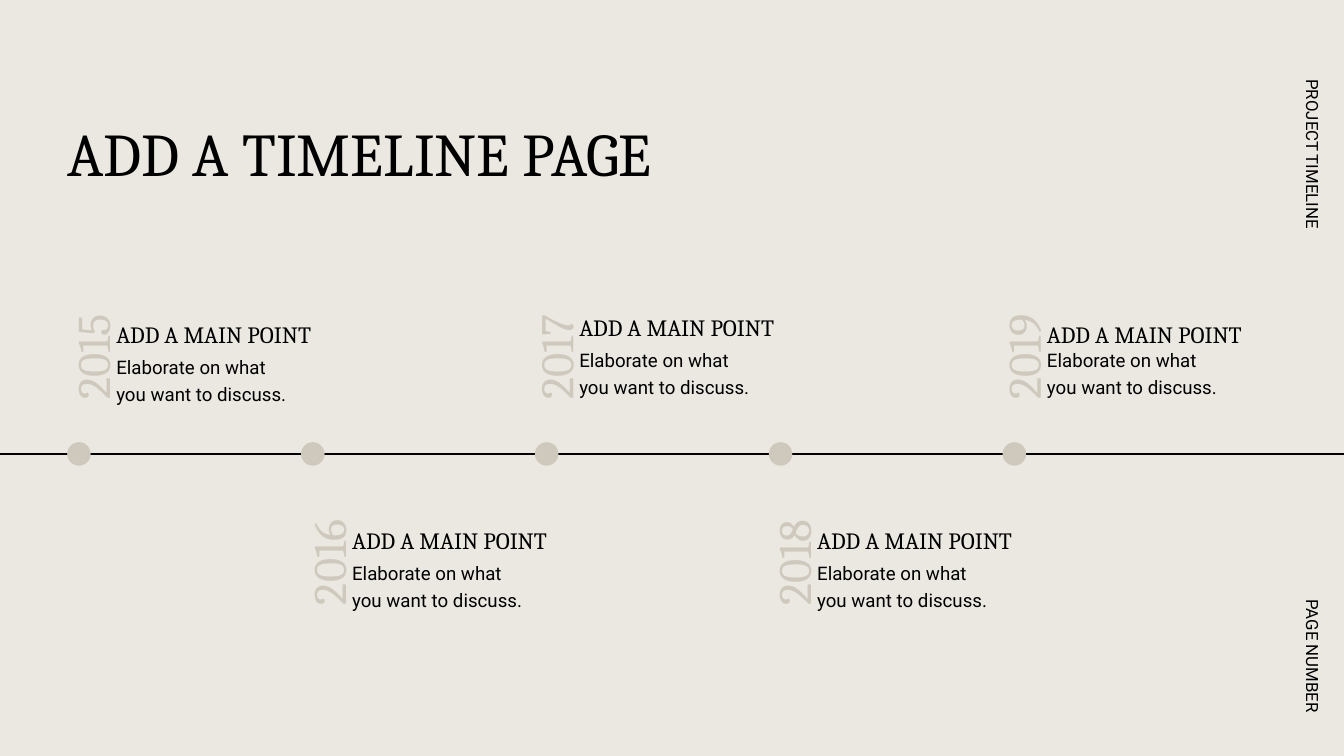
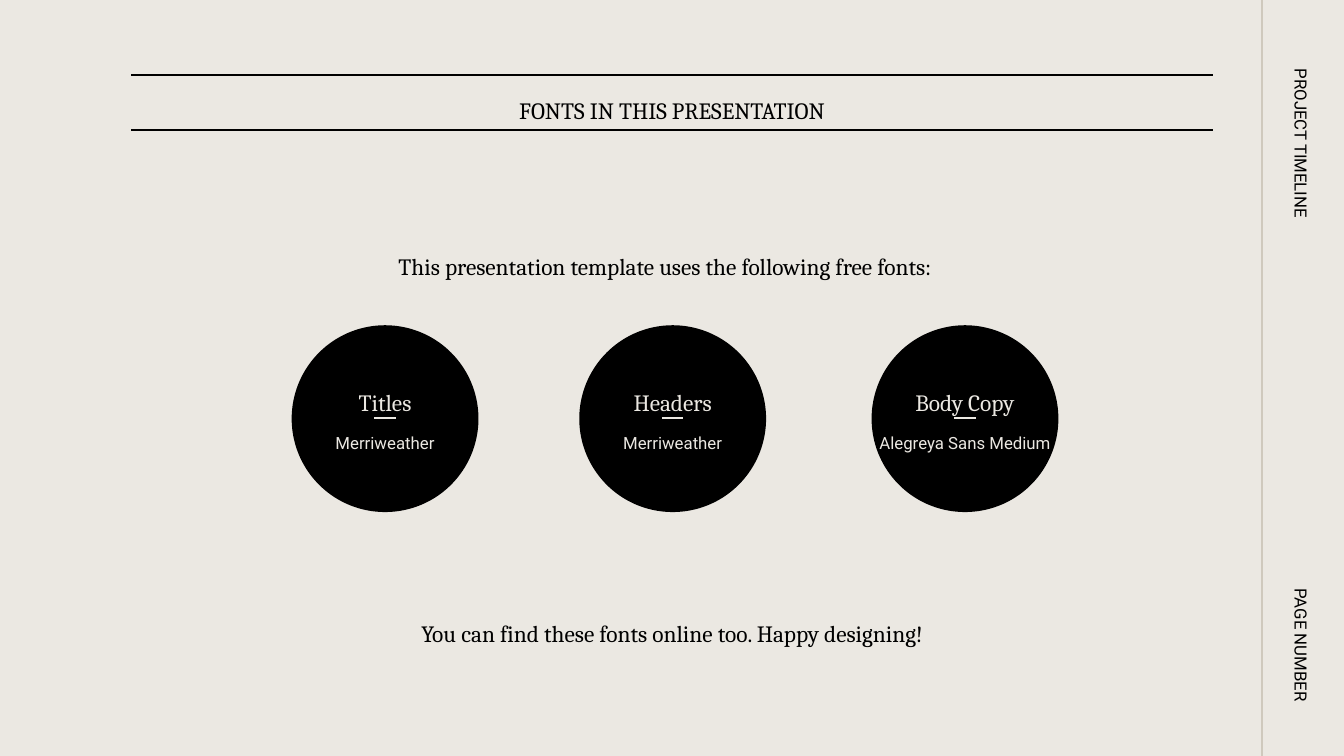
from lxml import etree
from pptx import Presentation
from pptx.dml.color import RGBColor
from pptx.enum import shapes, text
from pptx.oxml.ns import qn
from pptx import util as u

PX = u.Inches(1) // 100  # 100 px to the inch
INK, PAPER, STONE = "000000", "EBE8E2", "CFC9BD"
SERIF, SANS = "Cambria", "Roboto"
LEFT, CENTER, RIGHT = text.PP_ALIGN.LEFT, text.PP_ALIGN.CENTER, text.PP_ALIGN.RIGHT


def write(page, lines, left, top, width, height, *, size=25, font=SERIF, color=INK,
          align=LEFT, spacing=1.2, turn=0, box=None):
    """Put text, one paragraph a line, in a new text box or in the given placeholder."""
    box = box or page.shapes.add_textbox(0, 0, 0, 0)
    box.left, box.top, box.width, box.height = (n * PX for n in (left, top, width, height))
    box.rotation = turn
    frame = box.text_frame
    frame.word_wrap = True
    frame.auto_size = text.MSO_AUTO_SIZE.SHAPE_TO_FIT_TEXT
    frame.vertical_anchor = text.MSO_ANCHOR.TOP
    frame.margin_left = frame.margin_top = frame.margin_right = frame.margin_bottom = 0
    frame.text = lines
    for para in frame.paragraphs:
        para.alignment = align
        para.line_spacing = spacing
        para.space_before = u.Pt(0)
        for span in para.runs:
            span.font.size = u.Pt(size)
            span.font.name = font
            span.font.color.rgb = RGBColor.from_string(color)


def rule(page, x1, y1, x2, y2, color=INK, weight=2.25):
    """Draw a straight line without a shadow."""
    line = page.shapes.add_connector(
        shapes.MSO_CONNECTOR.STRAIGHT, x1 * PX, y1 * PX, x2 * PX, y2 * PX)
    line.line.color.rgb = RGBColor.from_string(color)
    line.line.width = u.Pt(weight)
    etree.SubElement(line._element.spPr, qn("a:effectLst"))


deck = Presentation()
deck.slide_width, deck.slide_height = 2000 * PX, 1125 * PX
paper = deck.slide_master.background.fill
paper.solid()
paper.fore_color.rgb = RGBColor.from_string(PAPER)
title_only = deck.slide_layouts[5]
timeline, fonts = (deck.slides.add_slide(title_only) for _ in range(2))

# Titles
write(timeline, "ADD A TIMELINE PAGE", 100, 139, 1175, 109, size=65, spacing=1.31,
      box=timeline.shapes.title)
write(fonts, "FONTS IN THIS PRESENTATION", 562, 135, 876, 42, align=CENTER,
      box=fonts.shapes.title)

# Rules
rule(timeline, 0, 676, 2000, 676)
for y in (112, 194):
    rule(fonts, 195, y, 1805, y)
rule(fonts, 1878, 0, 1878, 1125, STONE)

# Timeline dots and font circles
dot_lefts = [100 + 348 * i for i in range(5)]
circle_lefts = [434, 862, 1297]
for page, lefts, top, size, color in (
    (timeline, dot_lefts, 658, 35, STONE),
    (fonts, circle_lefts, 484, 278, INK),
):
    for left in lefts:
        disc = page.shapes.add_shape(
            shapes.MSO_SHAPE.OVAL, left * PX, top * PX, size * PX, size * PX)
        disc.shadow.inherit = False
        disc.fill.solid()
        disc.fill.fore_color.rgb = RGBColor.from_string(color)
        disc.line.fill.background()

# Timeline entries: text left, year top, heading top, body top
for year, left, year_top, heading_top, body_top in (
    ("2015", 173, 489, 468, 523),
    ("2016", 524, 795, 774, 829),
    ("2017", 862, 489, 458, 513),
    ("2018", 1216, 795, 774, 829),
    ("2019", 1558, 489, 468, 513),
):
    write(timeline, year, left - 191, year_top, 276, 84, size=50, color=STONE,
          align=CENTER, turn=270)
    write(timeline, "ADD A MAIN POINT", left, heading_top, 368, 42)
    write(timeline, "Elaborate on what\nyou want to discuss.", left, body_top, 368, 74,
          size=20, font=SANS)

# Font circles' contents
write(fonts, "This presentation template uses the following free fonts:",
      261, 356, 1457, 42, align=CENTER, spacing=1.45)
for left, use, name, weight in zip(
    circle_lefts,
    ("Titles", "Headers", "Body Copy"),
    ("Merriweather", "Merriweather", "Alegreya Sans Medium"),
    (2.25, 3, 3),
):
    middle = left + 139
    rule(fonts, middle - 16, 622, middle + 16, 622, PAPER, weight)
    for words, top, height, size, font in ((use, 559, 42, 25, SERIF), (name, 631, 30, 18, SANS)):
        write(fonts, words, middle - 148, top, 296, height, size=size, font=font,
              color=PAPER, align=CENTER, spacing=1.45)
write(fonts, "You can find these fonts online too. Happy designing!",
      206, 906, 1588, 42, align=CENTER, spacing=1.37)

# Side labels
for page, left, top in ((timeline, 1838, 204), (fonts, 1821, 188)):
    for label, drop in (("PROJECT TIMELINE", 0), ("PAGE NUMBER", 720)):
        write(page, label, left, top + drop, 243, 30, size=18, font=SANS,
              align=RIGHT, turn=90)

deck.save("out.pptx")
